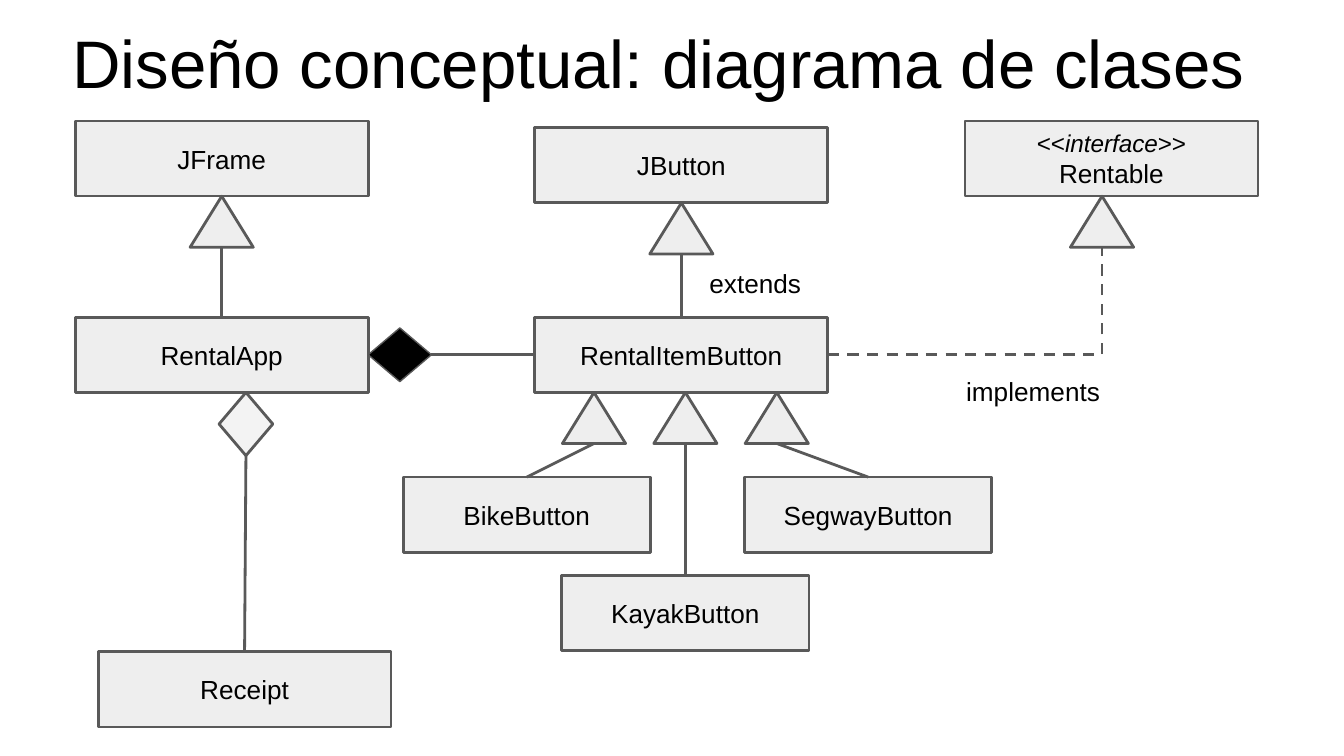
from lxml import etree
from pptx import Presentation
from pptx.dml.color import RGBColor
from pptx.enum.dml import MSO_LINE
from pptx.enum.shapes import MSO_CONNECTOR, MSO_SHAPE
from pptx.enum.text import MSO_ANCHOR, MSO_AUTO_SIZE, PP_ALIGN
from pptx.oxml.ns import qn
from pptx.util import Inches, Pt

RECT, TRIANGLE, DIAMOND = MSO_SHAPE.RECTANGLE, MSO_SHAPE.ISOSCELES_TRIANGLE, MSO_SHAPE.DIAMOND
STRAIGHT, ELBOW = MSO_CONNECTOR.STRAIGHT, MSO_CONNECTOR.ELBOW
CENTER, LEFT = PP_ALIGN.CENTER, PP_ALIGN.LEFT
MIDDLE, TOP = MSO_ANCHOR.MIDDLE, MSO_ANCHOR.TOP
NO_FIT, DASH = MSO_AUTO_SIZE.NONE, MSO_LINE.DASH

BLACK, GRAY, LIGHT, PALE = "000000", "595959", "EEEEEE", "F3F3F3"
CLASS_W, SUBCLASS_W, CLASS_H = 2.18, 1.84, 0.56
TIP_W, TIP_H = 0.47, 0.38
DIAMOND_W, DIAMOND_H = 0.4, 0.47


def color(value):
    return RGBColor.from_string(value)


def inches(*values):
    return [Inches(v) for v in values]


def set_text(shape, paragraphs, anchor=MIDDLE, align=CENTER):
    tf = shape.text_frame
    margins = {f"margin_{side}": Inches(0.1) for side in ("left", "right", "top", "bottom")}
    frame = {"word_wrap": True, "auto_size": NO_FIT, "vertical_anchor": anchor, **margins}
    for name, value in frame.items():
        setattr(tf, name, value)
    for i, runs in enumerate(paragraphs):
        p = tf.add_paragraph() if i else tf.paragraphs[0]
        p.alignment = align
        for text, size, italic in runs:
            r = p.add_run()
            r.text = text
            for name, value in {"name": "Arial", "size": Pt(size), "italic": italic}.items():
                setattr(r.font, name, value)
            r.font.color.rgb = color(BLACK)


def plain(text, size=14):
    return [[(text, size, False)]]


def add_figure(s, kind, x, y, w, h, fill=LIGHT, width=1.5, rotation=0):
    sp = s.shapes.add_shape(kind, *inches(x, y, w, h))
    sp.shadow.inherit = False
    sp.rotation = rotation
    sp.fill.solid()
    sp.fill.fore_color.rgb = color(fill)
    sp.line.color.rgb = color(GRAY)
    sp.line.width = Pt(width)
    return sp


def add_class(s, x, y, paragraphs, w=CLASS_W):
    set_text(add_figure(s, RECT, x, y, w, CLASS_H), paragraphs)


def add_line(s, x1, y1, x2, y2, kind=STRAIGHT):
    line = s.shapes.add_connector(kind, *inches(x1, y1, x2, y2))
    line.line.color.rgb = color(GRAY)
    line.line.width = Pt(1.5)
    etree.SubElement(line._element.spPr, qn("a:effectLst"))
    return line


def add_tip(s, x, y):
    add_figure(s, TRIANGLE, x - TIP_W / 2, y, TIP_W, TIP_H)


def add_inheritance(s, x, y, child_x, child_y):
    add_tip(s, x, y)
    add_line(s, x, y + TIP_H, child_x, child_y)


def add_diamond(s, cx, cy, **style):
    add_figure(s, DIAMOND, cx - DIAMOND_W / 2, cy - DIAMOND_H / 2, DIAMOND_W, DIAMOND_H, **style)


def add_label(s, x, y, text):
    set_text(s.shapes.add_textbox(*inches(x, y, 1.35, 0.25)), plain(text), TOP, LEFT)


def add_title(s, x, y, w, h):
    title = s.shapes.title
    box = dict(zip(("left", "top", "width", "height"), inches(x, y, w, h)))
    for name, value in box.items():
        setattr(title, name, value)
    set_text(title, plain("Diseño conceptual: diagrama de clases", 36))


def add_app_region(s, x, y):
    app_y, receipt_y = y + 1.46, y + 3.95
    add_class(s, x, y, plain("JFrame"))
    add_class(s, x, app_y, plain("RentalApp"))
    add_class(s, x + 0.17, receipt_y, plain("Receipt"))
    cx = x + CLASS_W / 2
    add_inheritance(s, cx, y + CLASS_H, cx, app_y)
    diamond_x, diamond_y = x + 1.27, app_y + CLASS_H
    add_diamond(s, diamond_x, diamond_y + DIAMOND_H / 2, fill=PALE, rotation=180)
    add_line(s, diamond_x, diamond_y + DIAMOND_H, x + 0.17 + CLASS_W / 2, receipt_y)
    mid_y = app_y + CLASS_H / 2
    add_diamond(s, x + CLASS_W + DIAMOND_H / 2, mid_y, fill=BLACK, width=0.75, rotation=90)
    add_line(s, x + CLASS_W + DIAMOND_H, mid_y, x + 3.42, mid_y)


def add_button_region(s, x, y):
    item_y = y + 1.41
    cx, bottom = x + CLASS_W / 2, item_y + CLASS_H
    add_class(s, x, y, plain("JButton"))
    add_class(s, x, item_y, plain("RentalItemButton"))
    add_inheritance(s, cx, y + CLASS_H, cx, item_y)
    add_label(s, x + 1.2, y + 0.94, "extends")
    subclasses = [("BikeButton", -0.98, 2.6), ("KayakButton", 0.2, 3.33), ("SegwayButton", 1.56, 2.6)]
    for i, (name, dx, dy) in enumerate(subclasses):
        add_class(s, x + dx, y + dy, plain(name), SUBCLASS_W)
        add_inheritance(s, x + 0.44 + 0.68 * i, bottom, x + dx + SUBCLASS_W / 2, y + dy)


def add_interface_region(s, x, y):
    stereotype = [("<<", 13, False), ("interface", 13, True), (">>", 13, False)]
    add_class(s, x, y, [stereotype, [("Rentable", 14, False)]])
    tip_x, tip_y = x + 1.02, y + CLASS_H
    add_tip(s, tip_x, tip_y)
    link = add_line(s, x - 1.02, y + 1.74, tip_x, tip_y + TIP_H, ELBOW)
    link.line.dash_style = DASH
    link._element.spPr.find(qn("a:prstGeom")).set("prst", "bentConnector2")
    add_label(s, x - 0.09, y + 1.79, "implements")


def main():
    prs = Presentation()
    prs.slide_width = Inches(10)
    prs.slide_height = prs.slide_width * 9 // 16
    s = prs.slides.add_slide(prs.slide_layouts[5])
    add_title(s, 0.24, 0, 9.32, 0.92)
    add_app_region(s, 0.56, 0.9)
    add_button_region(s, 3.98, 0.95)
    add_interface_region(s, 7.18, 0.9)
    prs.save("out.pptx")


if __name__ == "__main__":
    main()
